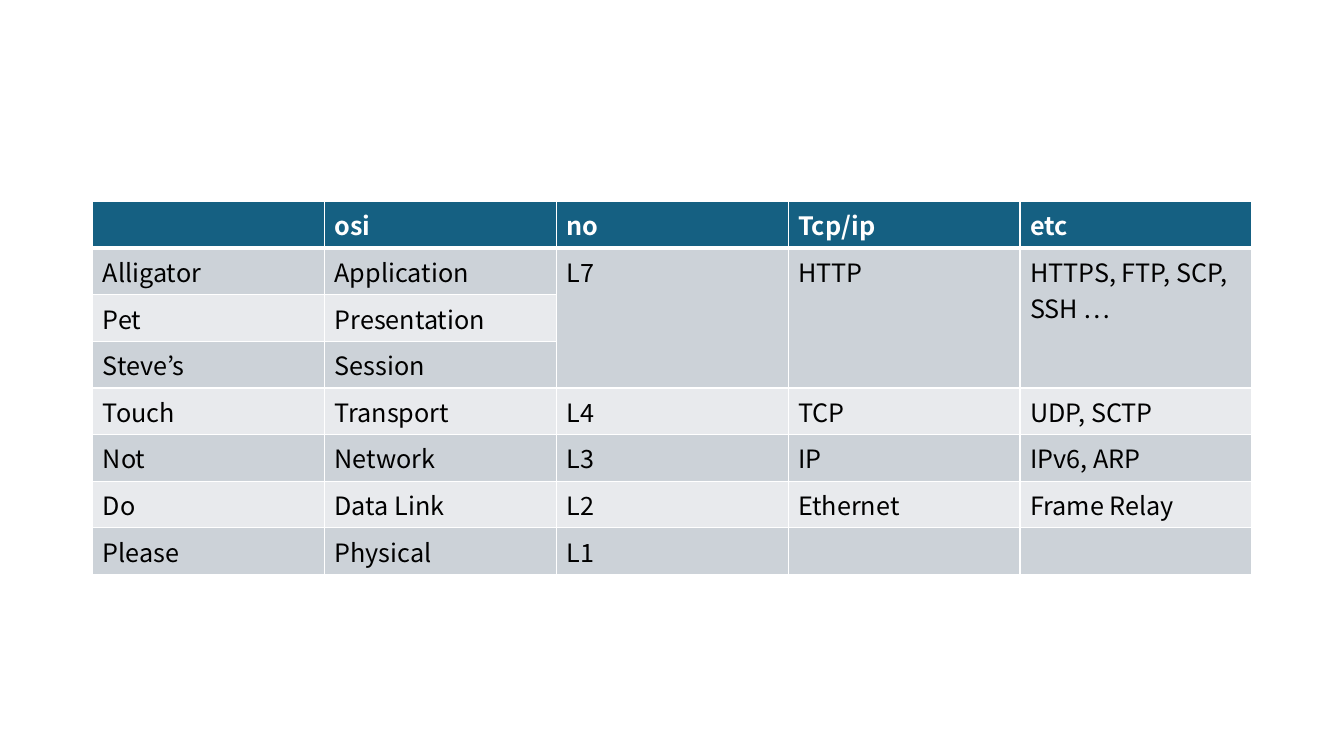
import pptx
import pptx.dml.color
import pptx.oxml
import pptx.oxml.ns
import pptx.util
from lxml import etree

Pt = pptx.util.Pt

HEADER = ["", "osi", "no", "Tcp/ip", "etc"]
LAYERS = [
    ["Alligator", "Application", "L7", "HTTP", "HTTPS, FTP, SCP, SSH …"],
    ["Pet", "Presentation", "", "", ""],
    ["Steve’s", "Session", "", "", ""],
    ["Touch", "Transport", "L4", "TCP", "UDP, SCTP"],
    ["Not", "Network", "L3", "IP", "IPv6, ARP"],
    ["Do", "Data Link", "L2", "Ethernet", "Frame Relay"],
    ["Please", "Physical", "L1", "", ""],
]


def rgb(value):
    return pptx.dml.color.RGBColor.from_string(value)


class Deck:
    font = "Noto Sans CJK KR"
    size = 18
    white, black = "FFFFFF", "000000"
    header_fill = "156082"
    bands = ["CCD2D8", "E8EAED"]

    def __init__(self, width, height):
        self.prs = pptx.Presentation()
        self.prs.slide_width, self.prs.slide_height = Pt(width), Pt(height)
        self.s = self.prs.slides.add_slide(self.prs.slide_layouts[6])

    def borders(self, cell, top, bottom):
        tcPr = cell._tc.get_or_add_tcPr()
        sides = [("lnL", 1), ("lnR", 1), ("lnT", top), ("lnB", bottom)]
        for i, (side, width) in enumerate(sides):
            tcPr.insert(i, pptx.oxml.parse_xml(
                f'<a:{side} {pptx.oxml.ns.nsdecls("a")} w="{Pt(width)}">'
                f'<a:solidFill><a:srgbClr val="{self.white}"/></a:solidFill>'
                f'</a:{side}>'))

    def cell(self, cell, text, fill, color, bold):
        cell.fill.solid()
        cell.fill.fore_color.rgb = rgb(fill)
        p = cell.text_frame.paragraphs[0]
        p.text = text
        p.font.size = Pt(self.size)
        for r in p.runs:
            r.font.name, r.font.size, r.font.bold = self.font, Pt(self.size), bold
            r.font.color.rgb = rgb(color)
            # East Asian typeface
            ea = etree.SubElement(r.font._element, pptx.oxml.ns.qn("a:ea"))
            ea.set("typeface", self.font)

    def table(self, rows, left, top, col_width, row_height, merges):
        n, m = len(rows), len(rows[0])
        frame = self.s.shapes.add_table(
            n, m, Pt(left), Pt(top), Pt(col_width * m), Pt(row_height * n))
        tbl = frame.table
        for col in tbl.columns:
            col.width = Pt(col_width)
        for i, texts in enumerate(rows):
            tbl.rows[i].height = Pt(row_height)
            head = i == 0
            fill = self.header_fill if head else self.bands[(i - 1) % 2]
            color = self.white if head else self.black
            for j, text in enumerate(texts):
                cell = tbl.cell(i, j)
                self.cell(cell, text, fill, color, head)
                self.borders(cell, 3 if i == 1 else 1, 3 if head else 1)
        for first, last in merges:
            tbl.cell(*first).merge(tbl.cell(*last))


def main():
    deck = Deck(960, 540)
    # Network layer table; L7 spans the top three layers
    deck.table([HEADER] + LAYERS, left=66.24, top=144, col_width=165.6,
               row_height=33.2,
               merges=[((1, j), (3, j)) for j in range(2, 5)])
    deck.prs.save("out.pptx")


if __name__ == "__main__":
    main()
